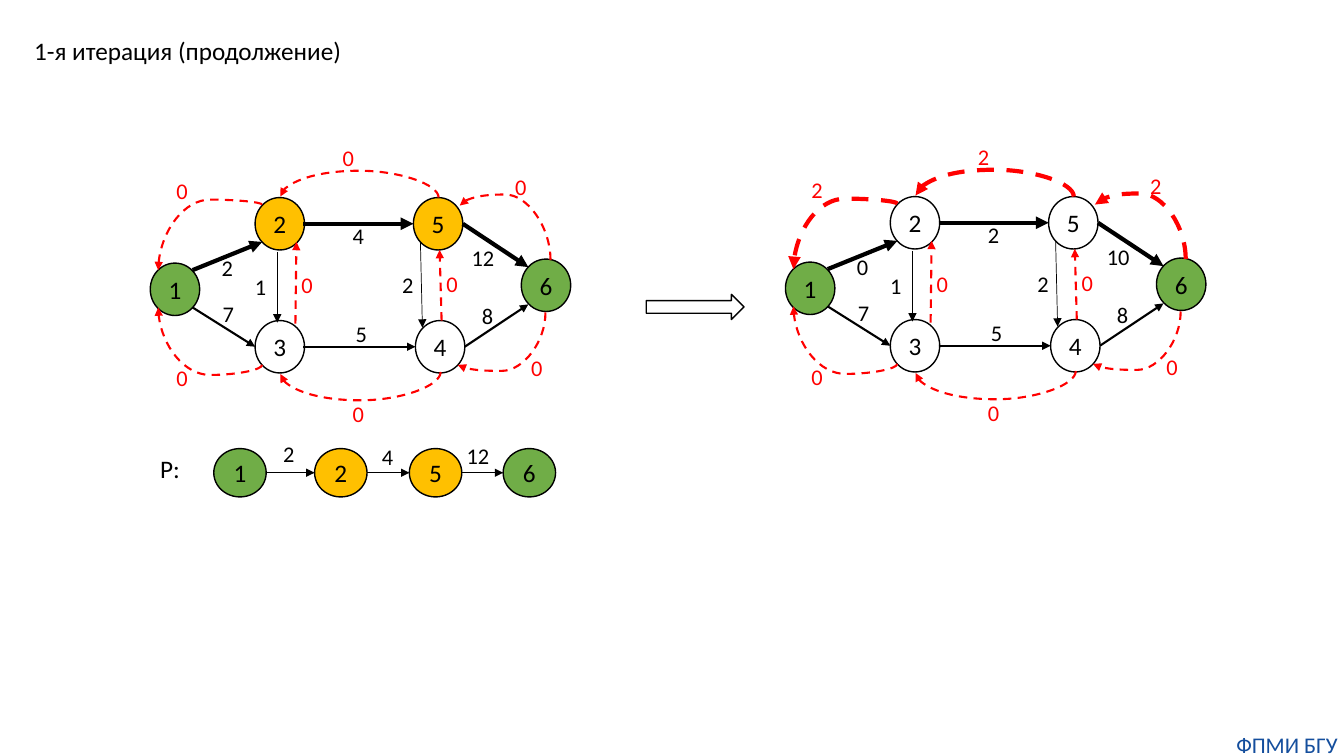
from lxml import etree
from pptx import Presentation
from pptx.dml.color import RGBColor
from pptx.enum import dml, shapes, text
from pptx.oxml.ns import qn
from pptx.util import Inches, Pt

BLACK = RGBColor(0x00, 0x00, 0x00)
RED = RGBColor(0xFF, 0x00, 0x00)
GREEN = RGBColor(0x70, 0xAD, 0x47)
AMBER = RGBColor(0xFF, 0xC0, 0x00)
NAVY = RGBColor(0x14, 0x4E, 0x9D)

THIN, MEDIUM, THICK = 0.5, 1.5, 3
NODE_SIZE = (0.49, 0.52)
CHAIN_NODE_SIZE = (0.52, 0.48)

NODES = {"1": (1.49, 2.61), "2": (2.53, 1.96), "3": (2.53, 3.18),
         "4": (4.12, 3.18), "5": (4.1, 1.96), "6": (5.17, 2.57)}

# start, end, width, place of the weight
EDGES = [((1.91, 2.68), (2.6, 2.4), THICK, (2.1, 2.47)),
         ((1.91, 3.05), (2.53, 3.44), MEDIUM, (2.11, 2.93)),
         ((2.75, 2.5), (2.75, 3.2), THIN, (2.43, 2.66)),
         ((3.01, 2.22), (4.1, 2.22), THICK, (3.4, 2.15)),
         ((3.01, 3.44), (4.12, 3.44), MEDIUM, (3.43, 3.13)),
         ((4.61, 3.44), (5.24, 3.02), MEDIUM, (4.68, 2.95)),
         ((4.59, 2.22), (5.24, 2.65), THICK, (4.58, 2.37)),
         ((4.17, 2.4), (4.19, 3.25), THIN, (3.89, 2.64))]

# start, end, place of the weight
REVERSE_EDGES = [((2.93, 3.21), (2.94, 2.4), (2.89, 2.64)),
                 ((4.38, 3.18), (4.36, 2.48), (4.33, 2.63))]

# start, end, height of the bend, place of the weight
UPPER_ARCS = [((4.35, 1.96), (2.78, 1.95), 1.69, (3.3, 1.38)),
              ((5.46, 2.58), (4.56, 2.04), 1.93, (5.01, 1.67)),
              ((2.6, 2.03), (1.57, 2.68), 1.98, (1.65, 1.71))]
LOWER_ARCS = [((5.41, 3.1), (4.54, 3.62), 3.68, (5.17, 3.46)),
              ((4.37, 3.69), (2.78, 3.71), 3.97, (3.4, 3.92)),
              ((2.6, 3.62), (1.57, 3.05), 3.72, (1.65, 3.56))]


class Sketch:
    """Draws on one slide; dx and dy shift everything that follows."""

    font = "Calibri"

    def __init__(self, slide):
        self.slide = slide
        self.shapes = slide.shapes
        self.dx = self.dy = 0

    def start_group(self):
        self.shapes = self.slide.shapes.add_group_shape().shapes

    def shift(self, dx, dy):
        self.dx, self.dy = dx, dy

    def place(self, x, y):
        return Inches(x + self.dx), Inches(y + self.dy)

    def add_words(self, frame, words, size, color, align=None):
        paragraph = frame.paragraphs[0]
        paragraph.alignment = align
        run = paragraph.add_run()
        run.text = words
        run.font.name = self.font
        run.font.size = Pt(size)
        run.font.color.rgb = color

    def label(self, words, at, size=16, color=BLACK, width=None, height=0.37):
        width = width or (0.43 if len(words) > 1 else 0.32)
        box = self.shapes.add_textbox(*self.place(*at), Inches(width), Inches(height))
        frame = box.text_frame
        frame.word_wrap = False
        frame.auto_size = text.MSO_AUTO_SIZE.SHAPE_TO_FIT_TEXT
        self.add_words(frame, words, size, color)

    def footer(self, words, at, width, height):
        box = self.shapes.add_textbox(*self.place(*at), Inches(width), Inches(height))
        frame = box.text_frame
        frame.word_wrap = True
        frame.auto_size = text.MSO_AUTO_SIZE.SHAPE_TO_FIT_TEXT
        frame.margin_left = frame.margin_right = 0
        frame.margin_top = frame.margin_bottom = 0
        self.add_words(frame, words, 16, NAVY, text.PP_ALIGN.CENTER)

    def outline(self, kind, at, size, fill=None):
        shape = self.shapes.add_shape(kind, *self.place(*at), *map(Inches, size))
        shape.shadow.inherit = False
        if fill is None:
            shape.fill.background()
        else:
            shape.fill.solid()
            shape.fill.fore_color.rgb = fill
        shape.line.color.rgb = BLACK
        shape.line.width = Pt(1)
        return shape

    def node(self, name, at, size, fill=None):
        oval = self.outline(shapes.MSO_SHAPE.OVAL, at, size, fill)
        oval.text_frame.vertical_anchor = text.MSO_ANCHOR.MIDDLE
        self.add_words(oval.text_frame, name, 18, BLACK, text.PP_ALIGN.CENTER)

    def arrow(self, start, end, width, color=BLACK, kind=shapes.MSO_CONNECTOR.STRAIGHT):
        """Black arrows are solid, red ones dashed."""
        arrow = self.shapes.add_connector(kind, *self.place(*start), *self.place(*end))
        arrow.line.color.rgb = color
        arrow.line.width = Pt(width)
        if color == RED:
            arrow.line.dash_style = dml.MSO_LINE.DASH
        properties = arrow._element.spPr
        etree.SubElement(properties.find(qn("a:ln")), qn("a:tailEnd"), type="triangle")
        etree.SubElement(properties, qn("a:effectLst"))
        return arrow

    def arc(self, start, end, bend, width):
        """Red curve that leaves and arrives vertically, turning at height bend."""
        (x0, y0), (x1, y1) = start, end
        mid_x, mid_y = (x0 + x1) / 2, (y0 + y1) / 2
        turn = -1 if bend < mid_y else 1

        def unturned(x, y):
            return mid_x + turn * (y - mid_y), mid_y - turn * (x - mid_x)

        curve = self.arrow(unturned(x0, y0), unturned(x1, y1), width, RED,
                           shapes.MSO_CONNECTOR.CURVE)
        properties = curve._element.spPr
        properties.find(qn("a:xfrm")).set("rot", str(turn * 90 % 360 * 60000))
        adjust = round((bend - y0) / (y1 - y0) * 100000)
        etree.SubElement(properties.find(qn("a:prstGeom")).find(qn("a:avLst")),
                         qn("a:gd"), name="adj1", fmla=f"val {adjust}")


def draw_network(sketch, fills, weights, flow, arc_width):
    """Flow is the weight on the upper arcs; every other reverse weight is 0."""
    for name, at in NODES.items():
        sketch.node(name, at, NODE_SIZE, fills.get(name))
    for (start, end, width, place), weight in zip(EDGES, weights):
        sketch.arrow(start, end, width)
        sketch.label(weight, place)
    for start, end, place in REVERSE_EDGES:
        sketch.arrow(start, end, MEDIUM, RED)
        sketch.label("0", place, color=RED)
    for arcs, weight, width in ((UPPER_ARCS, flow, arc_width), (LOWER_ARCS, "0", MEDIUM)):
        for start, end, bend, place in arcs:
            sketch.arc(start, end, bend, width)
            sketch.label(weight, place, color=RED)


def draw_path(sketch):
    sketch.label("P:", (1.49, 4.45), size=18)
    chain = [("1", 2.12, GREEN), ("2", 3.12, AMBER), ("5", 4.06, AMBER), ("6", 4.99, GREEN)]
    for name, x, fill in chain:
        sketch.node(name, (x, 4.45), CHAIN_NODE_SIZE, fill)
    weights = [("2", (2.71, 4.32)), ("4", (3.69, 4.35)), ("12", (4.53, 4.34))]
    for (_, x, _), (_, next_x, _), (weight, place) in zip(chain, chain[1:], weights):
        sketch.arrow((x + CHAIN_NODE_SIZE[0], 4.69), (next_x, 4.69), THIN)
        sketch.label(weight, place)


def main():
    deck = Presentation()
    deck.slide_width, deck.slide_height = Inches(13.33), Inches(7.5)
    sketch = Sketch(deck.slides.add_slide(deck.slide_layouts[6]))
    sketch.label("1-я итерация (продолжение)", (0.24, 0.3), 18, width=3.3, height=0.4)
    sketch.footer("ФПМИ БГУ", (12.2, 7.25), 1.13, 0.27)

    ends = {"1": GREEN, "6": GREEN}
    sketch.start_group()
    draw_path(sketch)
    draw_network(sketch, {**ends, "2": AMBER, "5": AMBER},
                 ["2", "7", "1", "4", "5", "8", "12", "2"], "0", MEDIUM)

    sketch.start_group()
    sketch.outline(shapes.MSO_SHAPE.RIGHT_ARROW, (6.41, 2.92), (0.97, 0.25))
    sketch.shift(6.3, -0.01)
    draw_network(sketch, ends, ["0", "7", "1", "2", "5", "8", "10", "2"], "2", THICK)
    deck.save("out.pptx")


if __name__ == "__main__":
    main()
